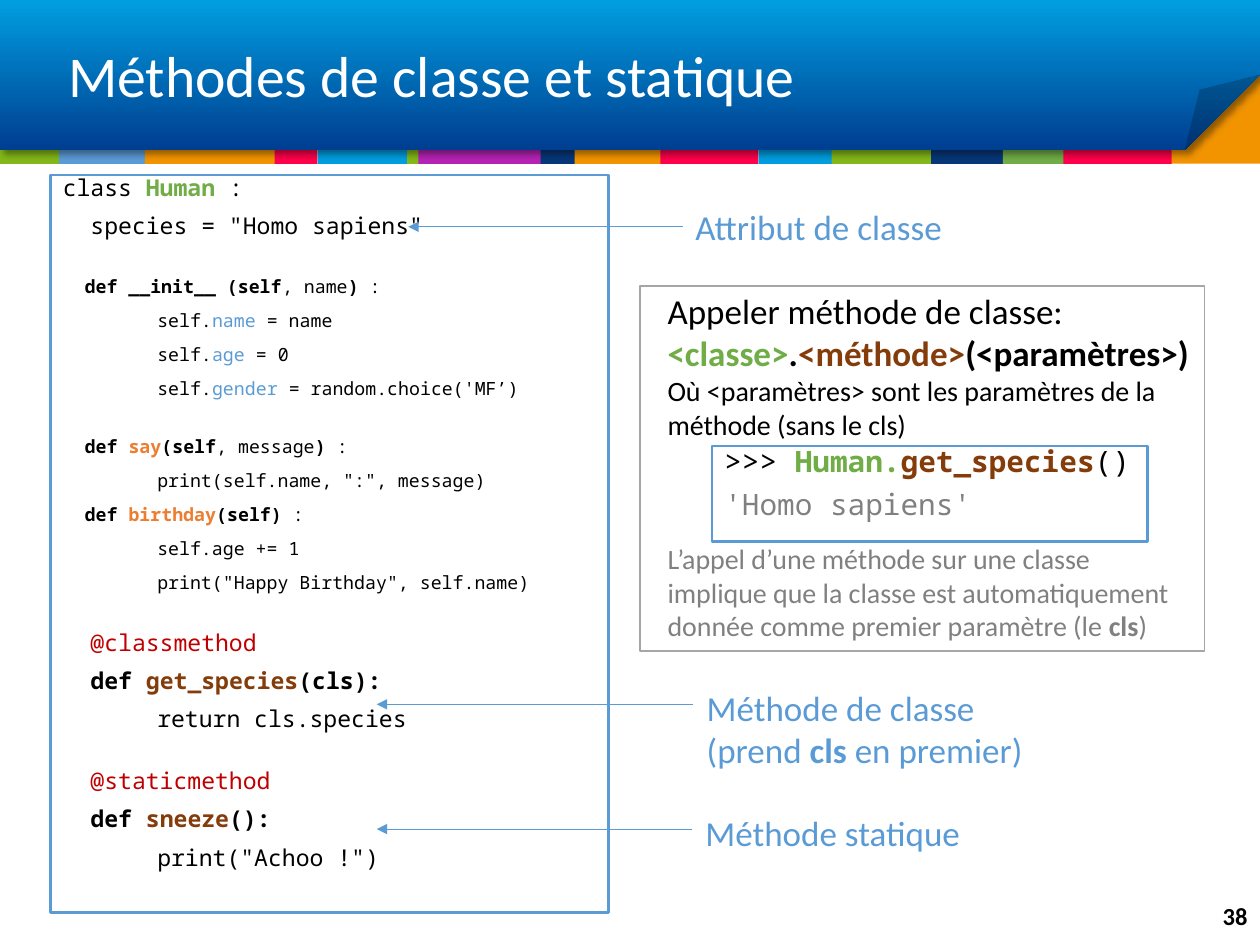
import lxml.etree
import pptx
import pptx.dml.color
import pptx.enum.dml
import pptx.enum.shapes
import pptx.enum.text
import pptx.oxml.ns
import pptx.util

Inches = pptx.util.Inches
Pt = pptx.util.Pt
RGBColor = pptx.dml.color.RGBColor
Shape = pptx.enum.shapes.MSO_SHAPE
Anchor = pptx.enum.text.MSO_ANCHOR
Align = pptx.enum.text.PP_ALIGN
AutoSize = pptx.enum.text.MSO_AUTO_SIZE
qn = pptx.oxml.ns.qn

BLACK = RGBColor(0x00, 0x00, 0x00)
WHITE = RGBColor(0xFF, 0xFF, 0xFF)
GRAY = RGBColor(0x80, 0x80, 0x80)
LIGHT_GRAY = RGBColor(0xA6, 0xA6, 0xA6)
BLUE = RGBColor(0x5B, 0x9B, 0xD5)
SKY = RGBColor(0x00, 0x9E, 0xE0)
DEEP_BLUE = RGBColor(0x00, 0x3E, 0x90)
NAVY = RGBColor(0x07, 0x37, 0x79)
LIME = RGBColor(0x83, 0xB8, 0x18)
GREEN = RGBColor(0x70, 0xAD, 0x47)
AMBER = RGBColor(0xF2, 0x94, 0x00)
ORANGE = RGBColor(0xED, 0x7D, 0x31)
PINK = RGBColor(0xFF, 0x01, 0x4B)
PURPLE = RGBColor(0xB5, 0x23, 0xB4)
RED = RGBColor(0xC0, 0x00, 0x00)
BROWN = RGBColor(0x84, 0x3C, 0x0B)

SMALL = 10.4
LARGE = 13.2
GAP = 24.5  # space before a new block of code

BANDS = [  # left, width, colour
    (2.97, 0.51, LIME), (0, 0.51, LIME), (0.47, 0.69, BLUE),
    (1.15, 1.1, AMBER), (2.18, 0.34, PINK), (2.52, 0.71, SKY),
    (3.32, 1.01, PURPLE), (4.29, 0.28, NAVY), (4.56, 0.71, AMBER),
    (5.24, 0.78, PINK), (6.02, 0.61, SKY), (6.6, 0.91, LIME),
    (7.39, 0.58, NAVY), (7.96, 0.5, GREEN), (8.44, 0.86, PINK),
]


def span(text, **style):
    """Pair a text with its size, color or bold; the rest comes from the box."""
    return text, style


def bold(text, color=BLACK):
    return span(text, bold=True, color=color)


def attribute(name, value):
    return ["\tself.", span(name, color=BLUE), " = " + value]


# Each code line: size, space before, spans
CODE = [
    (LARGE, 0, ["class ", bold("Human", GREEN), " :"]),
    (LARGE, None, ['  species = "Homo sapiens"']),
    (SMALL, GAP, ["  ", bold("def __init__ (self"), ", name", bold(")"), " :"]),
    (SMALL, None, attribute("name", "name")),
    (SMALL, None, attribute("age", "0")),
    (SMALL, None, attribute("gender", "random.choice('MF’)")),
    (SMALL, GAP, ["  ", bold("def "), bold("say", ORANGE), bold("(self"),
                  ", message", bold(")"), " :"]),
    (SMALL, None, ['\tprint(self.name, ":", message)']),
    (SMALL, None, ["  ", bold("def "), bold("birthday", ORANGE), bold("(self) "), ":"]),
    (SMALL, None, ["\tself.age += 1"]),
    (SMALL, None, ['\tprint("Happy Birthday", self.name)']),
    (LARGE, GAP, [span("  @classmethod", color=RED)]),
    (LARGE, None, ["  ", bold("def "), bold("get_species", BROWN), bold("(cls):")]),
    (LARGE, None, ["\treturn cls.species"]),
    (LARGE, GAP, [span("  @staticmethod", color=RED)]),
    (LARGE, None, ["  ", bold("def "), bold("sneeze", BROWN), bold("():")]),
    (LARGE, None, ['\tprint("Achoo !")']),
]


def write(para, spans, *, size=20, font="Calibri", color=BLACK, bold=False,
          align=Align.LEFT, spacing=None, before=0, tab=None):
    """Fill a paragraph with plain texts and spans."""
    if tab:
        tabs = lxml.etree.SubElement(para._p.get_or_add_pPr(), qn("a:tabLst"))
        lxml.etree.SubElement(tabs, qn("a:tab"), pos=str(Inches(tab)), algn="l")
    para.alignment = align
    para.space_before = Pt(before)
    if spacing:
        para.line_spacing = spacing
    base = {"size": size, "color": color, "bold": bold}
    for item in spans:
        text, changes = (item, {}) if isinstance(item, str) else item
        style = {**base, **changes}
        run = para.add_run()
        run.text = text
        run.font.name = font
        run.font.size = Pt(style["size"])
        run.font.bold = style["bold"]
        run.font.color.rgb = style["color"]


def paragraphs(frame, count):
    return [frame.paragraphs[0]] + [frame.add_paragraph() for _ in range(count - 1)]


class Painter:
    """Holds the current slide and its text style."""
    code_style = {"font": "Noto Sans Mono", "spacing": 0.7}

    def __init__(self, page):
        self.page = page

    def block(self, left, top, width, height, color, kind=Shape.RECTANGLE):
        shape = self.page.shapes.add_shape(
            kind, Inches(left), Inches(top), Inches(width), Inches(height))
        shape.shadow.inherit = False
        shape.line.fill.background()
        shape.fill.solid()
        shape.fill.fore_color.rgb = color
        return shape

    def banner(self):
        shape = self.block(0, 0, 10, 1.19, SKY, Shape.FOLDED_CORNER)
        properties = shape._element.spPr
        guides = properties.find(qn("a:prstGeom")).get_or_add_avLst()
        lxml.etree.SubElement(guides, qn("a:gd"), name="adj", fmla="val 50000")
        shape.fill.gradient()
        shape.fill.gradient_angle = 270
        for stop, color in zip(shape.fill.gradient_stops, (SKY, DEEP_BLUE)):
            stop.color.rgb = color
        shadow = lxml.etree.SubElement(
            properties.find(qn("a:effectLst")), qn("a:outerShdw"),
            blurRad=str(Pt(4)), dist=str(Pt(3)),
            dir="2700000", algn="tl", rotWithShape="0")
        black = lxml.etree.SubElement(shadow, qn("a:srgbClr"), val="000000")
        lxml.etree.SubElement(black, qn("a:alpha"), val="40000")

    def title(self, text):
        box = self.page.shapes.title
        box.left, box.top = Inches(0.44), Inches(0.25)
        box.width, box.height = Inches(9.12), Inches(0.75)
        box.text_frame.vertical_anchor = Anchor.MIDDLE
        write(box.text_frame.paragraphs[0], [text], size=33, color=WHITE, spacing=0.9)

    def frame(self, left, top, width, height, color=BLUE, weight=1.5):
        shape = self.block(left, top, width, height, color)
        shape.fill.background()
        shape.line.color.rgb = color
        shape.line.width = Pt(weight)
        return shape

    def code(self, left, top, width, height, lines, before):
        text = self.frame(left, top, width, height).text_frame
        text.word_wrap = True
        text.vertical_anchor = Anchor.TOP
        for para, (size, gap, spans) in zip(paragraphs(text, len(lines)), lines):
            write(para, spans, size=size, before=before if gap is None else gap,
                  tab=0.75, **self.code_style)

    def text(self, left, top, width, height, lines, anchor=Anchor.TOP,
             fit=AutoSize.SHAPE_TO_FIT_TEXT, **style):
        box = self.page.shapes.add_textbox(
            Inches(left), Inches(top), Inches(width), Inches(height))
        box.text_frame.word_wrap = True
        box.text_frame.auto_size = fit
        box.text_frame.vertical_anchor = anchor
        for para, spans in zip(paragraphs(box.text_frame, len(lines)), lines):
            write(para, spans, **style)
        return box

    def arrow(self, start, end, y, label=None):
        line = self.page.shapes.add_connector(
            pptx.enum.shapes.MSO_CONNECTOR.STRAIGHT,
            Inches(start), Inches(y), Inches(end), Inches(y))
        if label is not None:
            line.begin_connect(label, 1)
        line.line.color.rgb = BLUE
        line.line.width = Pt(0.5)
        lxml.etree.SubElement(line.line._get_or_add_ln(), qn("a:tailEnd"), type="triangle")
        lxml.etree.SubElement(line._element.spPr, qn("a:effectLst"))


def main():
    deck = pptx.Presentation()
    deck.slide_width, deck.slide_height = Inches(10), Inches(7.5)
    painter = Painter(deck.slides.add_slide(deck.slide_layouts[5]))

    painter.block(9.21, 0.47, 0.79, 0.83, AMBER)
    for left, width, color in BANDS:
        painter.block(left, 0.81, width, 0.49, color)
    painter.banner()
    title = painter.page.shapes.title._element
    title.getparent().append(title)  # bring the title in front of the banner
    painter.title("Méthodes de classe et statique")
    painter.text(9.31, 7.07, 0.69, 0.4, [["38"]], anchor=Anchor.MIDDLE,
                 fit=AutoSize.NONE, size=14, bold=True, align=Align.RIGHT)

    painter.code(0.4, 1.39, 4.43, 5.85, CODE, before=10.7)

    painter.text(5.51, 5.4, 3.52, 0.77, [
        ["Méthode de classe"],
        ["(prend ", bold("cls", BLUE), " en premier)"]], color=BLUE)
    painter.arrow(5.5, 2.99, 5.59)
    label = painter.text(5.42, 1.58, 4.14, 0.44, [["Attribut de classe"]], color=BLUE)
    painter.arrow(5.42, 3.24, 1.8, label)

    painter.text(5.2, 2.25, 4.76, 1.31, [
        ["Appeler méthode de classe:"],
        [bold("<classe>", GREEN), bold("."), bold("<méthode>", BROWN),
         bold("(<paramètres>)")],
        [span("Où <paramètres> sont les paramètres de la méthode (sans le cls)", size=16)]])
    painter.code(5.65, 3.54, 3.46, 0.76, [
        (16.8, 0, [">>> ", bold("Human.", GREEN), bold("get_species", BROWN), "()"]),
        (16.8, None, [span("'Homo sapiens'", color=GRAY)])], before=10.5)
    painter.text(5.2, 4.25, 4.36, 0.91, [
        ["L’appel d’une méthode sur une classe implique que la classe est "
         "automatiquement donnée comme premier paramètre (le ",
         bold("cls", GRAY), ")"]], size=16, color=GRAY)

    painter.text(5.5, 6.39, 3.52, 0.44, [["Méthode statique"]], color=BLUE)
    painter.arrow(5.49, 2.99, 6.58)
    painter.frame(5.08, 2.27, 4.48, 2.9, LIGHT_GRAY, 1)

    deck.save("out.pptx")


if __name__ == "__main__":
    main()
